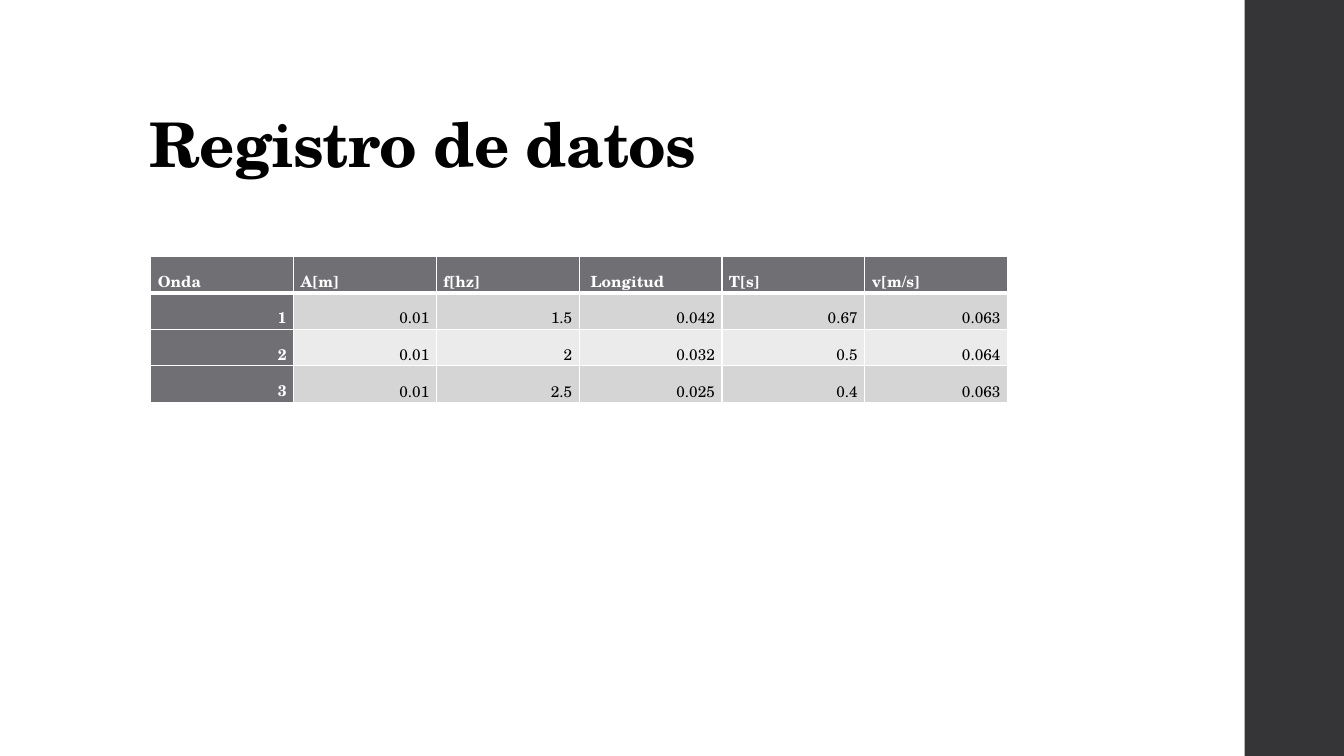
from lxml.etree import SubElement
from pptx import Presentation
from pptx.dml.color import RGBColor
from pptx.enum.shapes import MSO_SHAPE as Shape
from pptx.enum.text import MSO_ANCHOR as Anchor, PP_ALIGN as Align
from pptx.oxml.ns import qn
from pptx.util import Pt

WAVES = [
    ["Onda", "A[m]", "f[hz]", " Longitud", "T[s]", "v[m/s]"],
    ["1", "0.01", "1.5", "0.042", "0.67", "0.063"],
    ["2", "0.01", "2", "0.032", "0.5", "0.064"],
    ["3", "0.01", "2.5", "0.025", "0.4", "0.063"],
]


def color(hex_code):
    return RGBColor.from_string(hex_code)


class SlideBuilder:
    FONT = "TeX Gyre Schola"
    BLACK, WHITE = "000000", "FFFFFF"
    HEADER, BAND_DARK, BAND_LIGHT = "6F6F74", "D5D5D6", "EBEBEB"

    def __init__(self, slide):
        self.slide = slide

    def style_text(self, paragraph, size, hex_code, bold, line_spacing):
        paragraph.line_spacing = line_spacing
        for run in paragraph.runs:
            run.font.name = self.FONT
            run.font.size = Pt(size)
            run.font.bold = bold
            run.font.color.rgb = color(hex_code)

    def band(self, left, top, width, height, hex_code):
        band = self.slide.shapes.add_shape(
            Shape.RECTANGLE, Pt(left), Pt(top), Pt(width), Pt(height))
        band.shadow.inherit = False
        band.fill.solid()
        band.fill.fore_color.rgb = color(hex_code)
        band.line.fill.background()

    def title(self, text, left, top, width, height):
        frame = self.slide.shapes.add_textbox(
            Pt(left), Pt(top), Pt(width), Pt(height)).text_frame
        frame.word_wrap = True
        frame.vertical_anchor = Anchor.BOTTOM
        frame.text = text
        heading = frame.paragraphs[0]
        self.style_text(heading, 44, self.BLACK, True, 0.9)
        # Slightly tightened letters
        heading.runs[0].font._element.set("spc", "-50")

    def borders(self, cell, bottom):
        properties = cell._tc.get_or_add_tcPr()
        for side, width in zip("LRTB", (1, 1, 1, bottom)):
            line = SubElement(properties, qn(f"a:ln{side}"), w=str(Pt(width)))
            fill = SubElement(line, qn("a:solidFill"))
            SubElement(fill, qn("a:srgbClr"), val=self.WHITE)

    def cell(self, cell, text, row, column):
        is_header = row == 0 or column == 0
        self.borders(cell, 3 if row == 0 else 1)
        cell.fill.solid()
        body = self.BAND_DARK if row % 2 else self.BAND_LIGHT
        cell.fill.fore_color.rgb = color(self.HEADER if is_header else body)
        cell.margin_left = cell.margin_right = Pt(5)
        cell.margin_top = cell.margin_bottom = 0
        cell.vertical_anchor = Anchor.BOTTOM
        cell.text_frame.text = text
        entry = cell.text_frame.paragraphs[0]
        entry.alignment = Align.RIGHT if row else Align.LEFT
        self.style_text(entry, 11, self.WHITE if is_header else self.BLACK,
                        is_header, 1.07)

    def table(self, data, left, top, width, row_height):
        table = self.slide.shapes.add_table(
            len(data), len(data[0]), Pt(left), Pt(top),
            Pt(width), Pt(row_height * len(data))).table
        for table_row in table.rows:
            table_row.height = Pt(row_height)
        for row, values in enumerate(data):
            for column, value in enumerate(values):
                self.cell(table.cell(row, column), value, row, column)


def main():
    deck = Presentation()
    deck.slide_width, deck.slide_height = Pt(960), Pt(540)
    builder = SlideBuilder(deck.slides.add_slide(deck.slide_layouts[6]))

    # Dark band on the right edge
    builder.band(889, 0, 71, 540, "353537")

    # Heading
    builder.title("Registro de datos", 99.5, 29, 763, 104)

    # Wave measurements
    builder.table(WAVES, 107.75, 183, 612, 26.1)

    deck.save("out.pptx")


if __name__ == "__main__":
    main()
